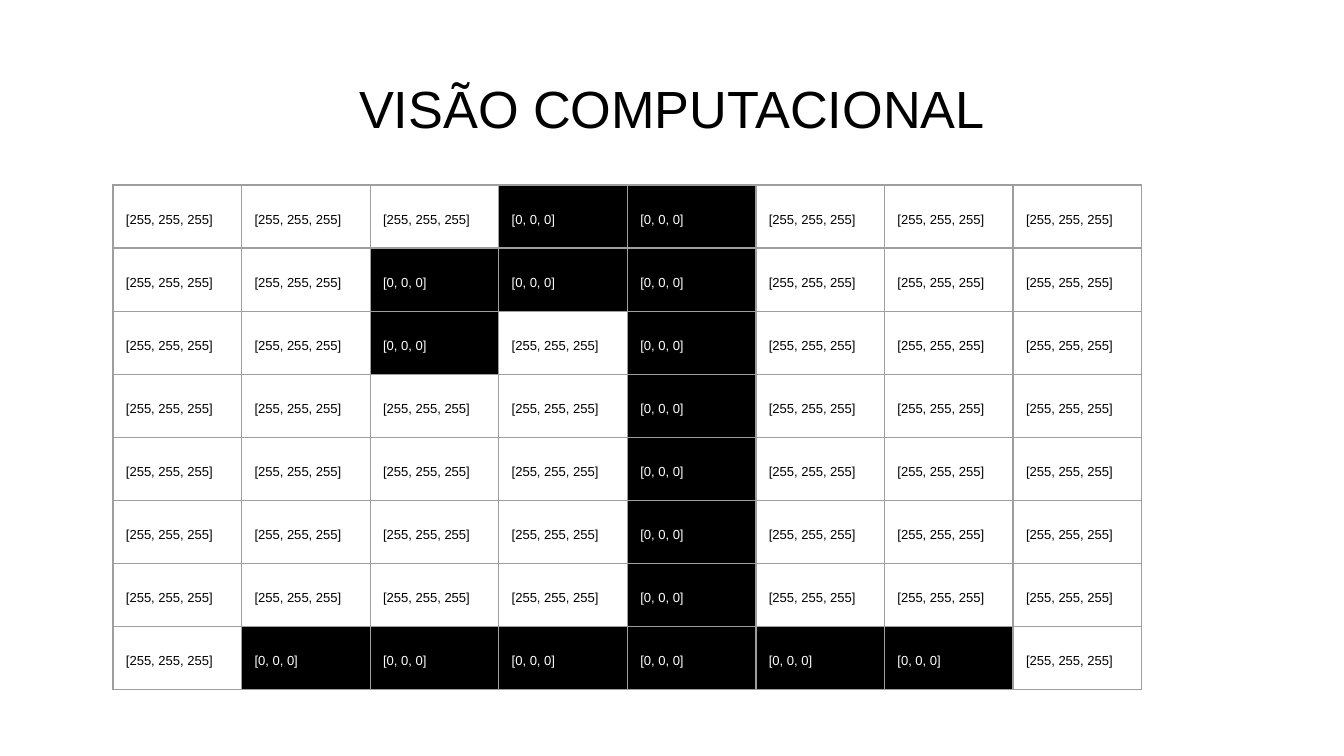
from lxml.etree import SubElement
from pptx import Presentation
from pptx.dml.color import RGBColor
from pptx.enum.text import MSO_ANCHOR, PP_ALIGN
from pptx.oxml.ns import qn
from pptx.util import Emu, Pt

BLACK = RGBColor(0x00, 0x00, 0x00)
WHITE = RGBColor(0xFF, 0xFF, 0xFF)
GREY = RGBColor(0x9E, 0x9E, 0x9E)
SCALE = 914400 / 134.4

# Each "#" is a black pixel of the digit, each "." a white one.
DIGIT = [
    "...##...",
    "..###...",
    "..#.#...",
    "....#...",
    "....#...",
    "....#...",
    "....#...",
    ".######.",
]


def px(n):
    return Emu(round(n * SCALE))


class Deck:
    font = "Arial"
    inset = px(13)
    line = Pt(0.75)

    def __init__(self, width, height):
        self.deck = Presentation()
        self.deck.slide_width = px(width)
        self.deck.slide_height = px(height)
        self.slide = self.deck.slides.add_slide(self.deck.slide_layouts[5])

    def pad(self, box):
        """Give a cell or text frame the same inset on all sides."""
        box.margin_left = box.margin_right = self.inset
        box.margin_top = box.margin_bottom = self.inset

    def label(self, para, text, size, color, align):
        para.alignment = align
        run = para.add_run()
        run.text = text
        run.font.name = self.font
        run.font.size = Pt(size)
        run.font.color.rgb = color

    def title(self, text, left, top, width, height):
        shape = self.slide.shapes.title
        shape.left, shape.top = px(left), px(top)
        shape.width, shape.height = px(width), px(height)
        frame = shape.text_frame
        frame.word_wrap = True
        frame.vertical_anchor = MSO_ANCHOR.MIDDLE
        self.pad(frame)
        self.label(frame.paragraphs[0], text, 28, BLACK, PP_ALIGN.CENTER)

    def border(self, cell):
        props = cell._tc.get_or_add_tcPr()
        for i, side in enumerate(("a:lnL", "a:lnR", "a:lnT", "a:lnB")):
            edge = props.makeelement(qn(side), w=str(self.line))
            fill = SubElement(edge, qn("a:solidFill"))
            SubElement(fill, qn("a:srgbClr"), val=str(GREY))
            props.insert(i, edge)

    def pixel(self, cell, dark):
        """Fill a cell as one pixel and show its RGB value in it."""
        level = 0 if dark else 255
        cell.fill.solid()
        cell.fill.fore_color.rgb = BLACK if dark else WHITE
        self.pad(cell)
        self.border(cell)
        para = cell.text_frame.paragraphs[0]
        para.line_spacing = 1.98
        ink = WHITE if dark else BLACK
        self.label(para, str([level] * 3), 7, ink, PP_ALIGN.JUSTIFY)

    def grid(self, rows, left, top, width, height):
        frame = self.slide.shapes.add_table(
            len(rows), len(rows[0]), px(left), px(top), px(width), px(height))
        table = frame.table
        table.first_row = table.horz_banding = False
        for r, row in enumerate(rows):
            for c, mark in enumerate(row):
                self.pixel(table.cell(r, c), mark == "#")


def main():
    page = Deck(1344, 756)
    page.title("VISÃO COMPUTACIONAL", 46, 66, 1252, 84)
    page.grid(DIGIT, 113, 185, 1029, 505)
    page.deck.save("out.pptx")


if __name__ == "__main__":
    main()
